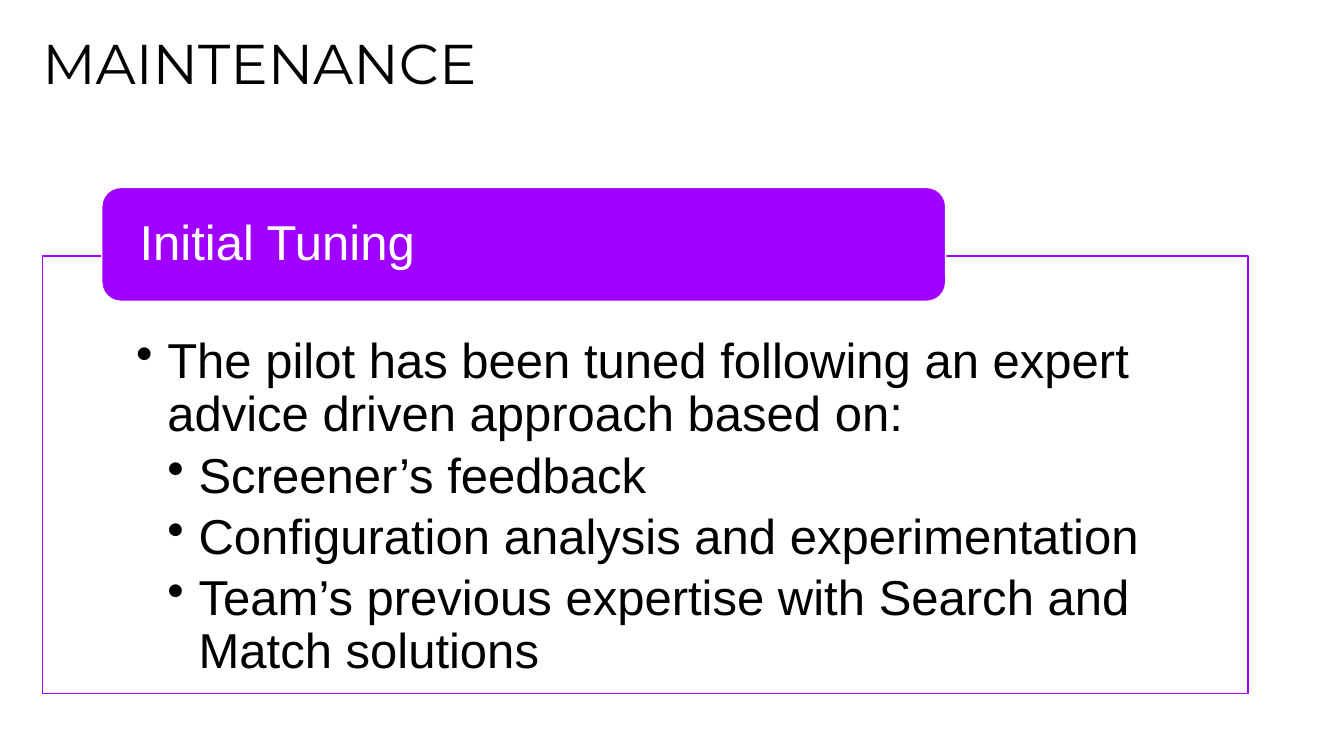
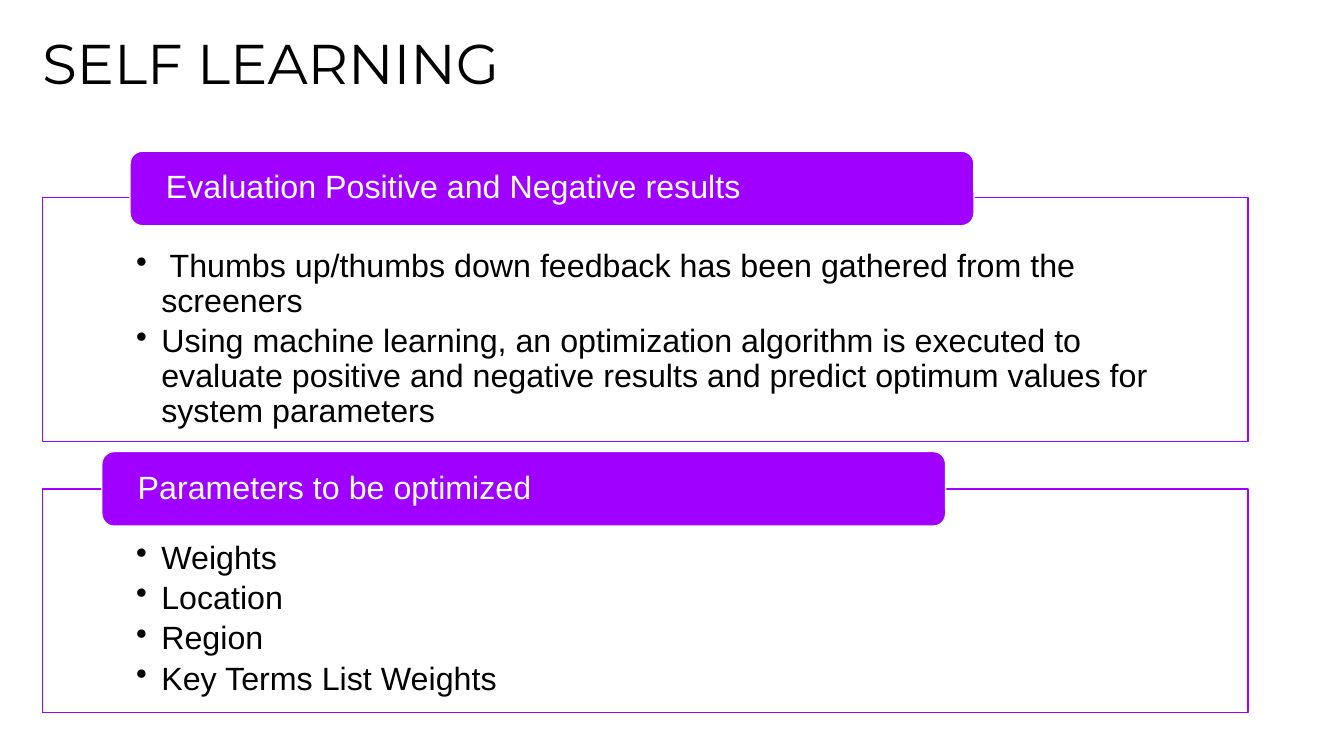
import pptx
import pptx.dml.color
import pptx.enum.shapes
import pptx.enum.text
import pptx.oxml.ns
import pptx.util
from lxml import etree

Inches = pptx.util.Inches
Pt = pptx.util.Pt

PURPLE = "A000FF"
WHITE = "FFFFFF"
BLACK = "000000"


def color(hex_code):
    return pptx.dml.color.RGBColor.from_string(hex_code)


class SlideBuilder:
    TITLE_FONT = "Montserrat"
    BODY_FONT = "Arial"
    LEFT = 0.42
    PANEL_WIDTH = 11.96
    TAB_WIDTH = 8.37

    def __init__(self):
        self.deck = pptx.Presentation()
        self.deck.slide_width = Inches(13.33)
        self.deck.slide_height = Inches(7.5)
        self.page = None

    def add_page(self, title):
        self.page = self.deck.slides.add_slide(self.deck.slide_layouts[6])
        box = self.page.shapes.add_textbox(
            Inches(self.LEFT), Inches(0.42), Inches(12.5), Inches(1.08))
        self.set_frame(box, (0, 0.05, 0, 0))
        self.set_text(box.text_frame.paragraphs[0], title, 40, BLACK,
                      font=self.TITLE_FONT, line_spacing=0.7)

    def set_frame(self, shape, insets,
                  anchor=pptx.enum.text.MSO_ANCHOR.TOP):
        """Wrap the text; insets are left, top, right, bottom in inches."""
        frame = shape.text_frame
        frame.word_wrap = True
        frame.vertical_anchor = anchor
        (frame.margin_left, frame.margin_top,
         frame.margin_right, frame.margin_bottom) = map(Inches, insets)

    def set_text(self, para, text, size, text_color, font=BODY_FONT,
                 line_spacing=0.9):
        para.text = text
        para.alignment = pptx.enum.text.PP_ALIGN.LEFT
        para.line_spacing = line_spacing
        para.font.name = font
        para.font.size = Pt(size)
        para.font.color.rgb = color(text_color)

    def add_bullet(self, para, level, indent):
        properties = para._p.get_or_add_pPr()
        properties.set("marL", str(Inches(indent * (level + 1))))
        properties.set("indent", str(Inches(-indent)))
        para.level = level
        mark = etree.SubElement(properties, pptx.oxml.ns.qn("a:buChar"))
        mark.set("char", "•")

    def add_shape(self, kind, left, top, width, height, fill, line):
        shape = self.page.shapes.add_shape(
            kind, Inches(left), Inches(top), Inches(width), Inches(height))
        shape.shadow.inherit = False
        shape.fill.solid()
        shape.fill.fore_color.rgb = color(fill)
        shape.line.color.rgb = color(line)
        shape.line.width = Pt(1)
        return shape

    def add_panel(self, top, height, size, insets, indent, items):
        """Outlined box of bullets; items are (level, text) pairs."""
        panel = self.add_shape(pptx.enum.shapes.MSO_SHAPE.RECTANGLE, self.LEFT,
                               top, self.PANEL_WIDTH, height, WHITE, PURPLE)
        self.set_frame(panel, insets)
        frame = panel.text_frame
        for index, (level, text) in enumerate(items):
            para = frame.add_paragraph() if index else frame.paragraphs[0]
            self.add_bullet(para, level, indent)
            self.set_text(para, text, size, BLACK)
            para.space_after = Pt(round(size * 0.18))

    def add_tab(self, left, top, height, size, text):
        """Rounded heading that overlaps the top edge of a panel."""
        tab = self.add_shape(pptx.enum.shapes.MSO_SHAPE.ROUNDED_RECTANGLE,
                             left, top, self.TAB_WIDTH, height, PURPLE, WHITE)
        self.set_frame(tab, (0.32, 0, 0.32, 0),
                       pptx.enum.text.MSO_ANCHOR.MIDDLE)
        self.set_text(tab.text_frame.paragraphs[0], text, size, WHITE)


def main():
    builder = SlideBuilder()

    builder.add_page("MAINTENANCE")
    builder.add_panel(2.54, 4.34, 35, (0.93, 0.8, 0.93, 0.27), 0.31, [
        (0, "The pilot has been tuned following an expert advice driven "
            "approach based on:"),
        (1, "Screener’s feedback"),
        (1, "Configuration analysis and experimentation"),
        (1, "Team’s previous expertise with Search and Match solutions"),
    ])
    builder.add_tab(1.01, 1.86, 1.13, 35, "Initial Tuning")

    builder.add_page("SELF LEARNING")
    sections = [
        (1.96, 2.42, 1.29, 1.5, "Evaluation Positive and Negative results", [
            " Thumbs up/thumbs down feedback has been gathered from the "
            "screeners",
            "Using machine learning, an optimization algorithm is executed "
            "to evaluate positive and negative results and predict optimum "
            "values for system parameters",
        ]),
        (4.85, 2.22, 1.01, 4.48, "Parameters to be optimized", [
            "Weights", "Location", "Region", "Key Terms List Weights",
        ]),
    ]
    for panel_top, panel_height, tab_left, tab_top, heading, items in sections:
        builder.add_panel(panel_top, panel_height, 23,
                          (0.93, 0.52, 0.93, 0.18), 0.25,
                          [(0, item) for item in items])
        builder.add_tab(tab_left, tab_top, 0.74, 23, heading)

    builder.deck.save("out.pptx")


if __name__ == "__main__":
    main()
